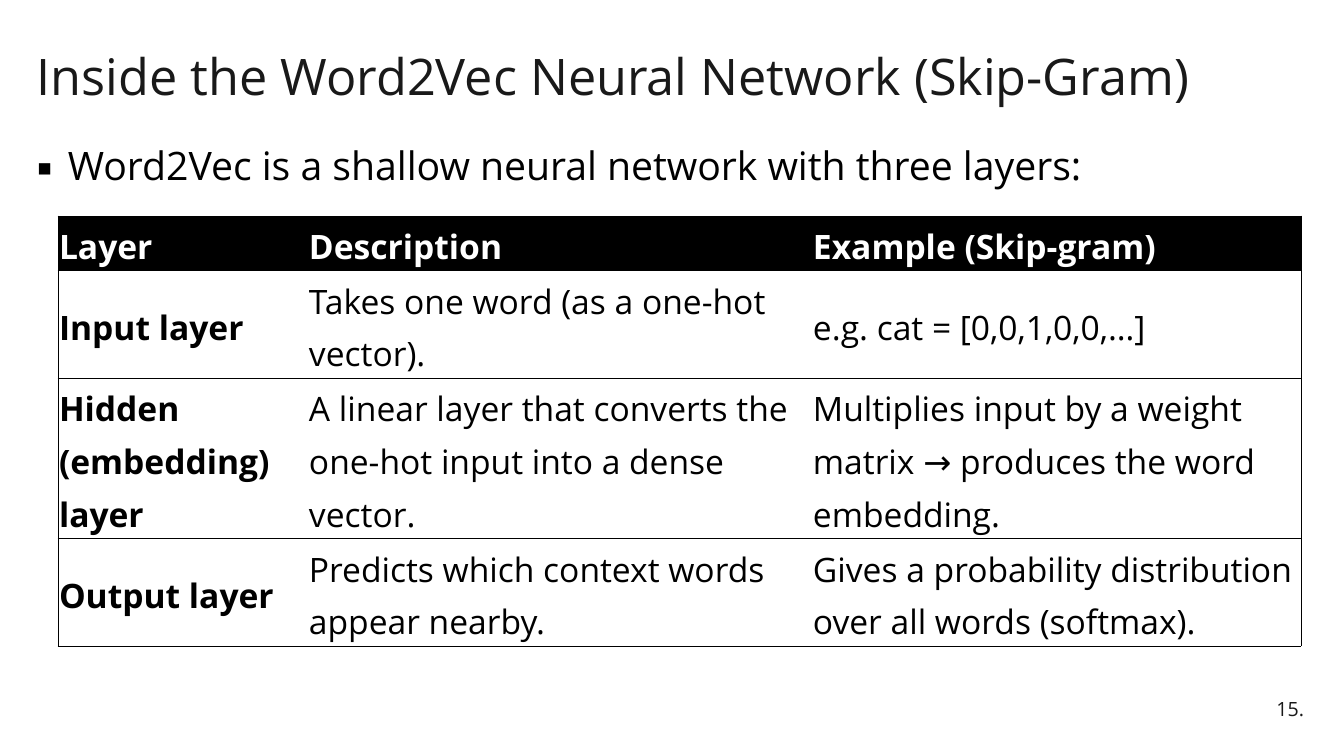
from dataclasses import dataclass

from pptx import Presentation
from pptx import util as u
from pptx.dml.color import RGBColor
from pptx.enum import text
from pptx.oxml import parse_xml
from pptx.oxml.ns import nsdecls

PX = 914400 / 100.8
SLIDE_SIZE = (1344, 756)


@dataclass(frozen=True)
class Theme:
    font: str = "Open Sans"
    ink: str = "000000"
    muted: str = "191919"
    inverse: str = "FFFFFF"
    title_size: int = 36
    lead_size: int = 28
    table_size: int = 24
    number_size: int = 14
    rule_width: float = 0.5


def px(length):
    return u.Emu(round(length * PX))


def assign(target, values):
    for name, value in values.items():
        setattr(target, name, value)


class SlideBuilder:
    def __init__(self, slide, theme):
        self.slide = slide
        self.theme = theme

    def fill_paragraph(self, paragraph, wording, size, color, bold=False, **layout):
        assign(paragraph, layout)
        run = paragraph.add_run()
        run.text = wording
        assign(run.font, {"name": self.theme.font, "size": u.Pt(size), "bold": bold})
        run.font.color.rgb = RGBColor.from_string(color)

    def text_box(self, box, wording, size, color, anchor, bullet=None, **layout):
        frame = self.slide.shapes.add_textbox(*map(px, box)).text_frame
        assign(frame, {"word_wrap": True, "vertical_anchor": anchor})
        paragraph = frame.paragraphs[0]
        if bullet:
            self.add_bullet(paragraph, bullet, indent=31)
        self.fill_paragraph(paragraph, wording, size, color, **layout)

    def add_bullet(self, paragraph, mark, indent):
        properties = paragraph._p.get_or_add_pPr()
        properties.set("marL", str(px(indent)))
        properties.set("indent", str(px(-indent)))
        properties.append(parse_xml(f'<a:buFont {nsdecls("a")} typeface="{self.theme.font}"/>'))
        properties.append(parse_xml(f'<a:buChar {nsdecls("a")} char="{mark}"/>'))

    def set_borders(self, cell, ruled_sides):
        """Rule the given sides (L, R, T, B) and clear the others."""
        properties = cell._tc.get_or_add_tcPr()
        for position, side in enumerate("LRTB"):
            paint = "<a:noFill/>"
            if side in ruled_sides:
                paint = f'<a:solidFill><a:srgbClr val="{self.theme.ink}"/></a:solidFill>'
            properties.insert(position, parse_xml(
                f'<a:ln{side} {nsdecls("a")} w="{u.Pt(self.theme.rule_width)}">{paint}</a:ln{side}>'))

    def table(self, left, top, widths, heights, rows):
        """Add a table with a black header, bold first column and horizontal rules."""
        theme = self.theme
        size = (sum(widths), sum(heights))
        table = self.slide.shapes.add_table(
            len(rows), len(widths), *map(px, (left, top, *size))).table
        assign(table, {"first_row": False, "horz_banding": False})
        for column, width in zip(table.columns, widths):
            column.width = px(width)
        for row, height in zip(table.rows, heights):
            row.height = px(height)
        margins = dict.fromkeys(
            ("margin_left", "margin_right", "margin_top", "margin_bottom"), px(1))
        last = len(widths) - 1
        for r, wordings in enumerate(rows):
            for c, wording in enumerate(wordings):
                cell = table.cell(r, c)
                assign(cell, margins | {"vertical_anchor": text.MSO_ANCHOR.MIDDLE})
                if r == 0:
                    cell.fill.solid()
                    cell.fill.fore_color.rgb = RGBColor.from_string(theme.ink)
                else:
                    cell.fill.background()
                self.set_borders(cell, "TB" + "L" * (c == 0) + "R" * (c == last))
                self.fill_paragraph(
                    cell.text_frame.paragraphs[0], wording, theme.table_size,
                    theme.ink if r else theme.inverse, bold=r == 0 or c == 0,
                    line_spacing=1.15, space_after=u.Pt(8))


LAYERS = [
    ("Layer", "Description", "Example (Skip-gram)"),
    ("Input layer", "Takes one word (as a one-hot vector).", "e.g. cat = [0,0,1,0,0,…]"),
    ("Hidden (embedding) layer",
     "A linear layer that converts the one-hot input into a dense vector.",
     "Multiplies input by a weight matrix → produces the word embedding."),
    ("Output layer", "Predicts which context words appear nearby.",
     "Gives a probability distribution over all words (softmax)."),
]


def main():
    deck = Presentation()
    deck.slide_width, deck.slide_height = map(px, SLIDE_SIZE)
    theme = Theme()
    builder = SlideBuilder(deck.slides.add_slide(deck.slide_layouts[6]), theme)
    builder.text_box((27, 46, 1317, 66), "Inside the Word2Vec Neural Network (Skip-Gram)",
                     theme.title_size, theme.muted, text.MSO_ANCHOR.MIDDLE, line_spacing=0.9)
    builder.text_box((27, 113, 1259, 499),
                     "Word2Vec is a shallow neural network with three layers:",
                     theme.lead_size, theme.ink, text.MSO_ANCHOR.TOP, bullet="▪",
                     alignment=text.PP_ALIGN.JUSTIFY, line_spacing=1.5)
    builder.table(58, 216, widths=(250, 504, 489), heights=(54, 108, 160, 108), rows=LAYERS)
    builder.text_box((1171, 690, 143, 40), "15.", theme.number_size, theme.muted,
                     text.MSO_ANCHOR.MIDDLE, alignment=text.PP_ALIGN.RIGHT,
                     line_spacing=0.9, space_after=u.Pt(6))
    deck.save("out.pptx")


if __name__ == "__main__":
    main()
